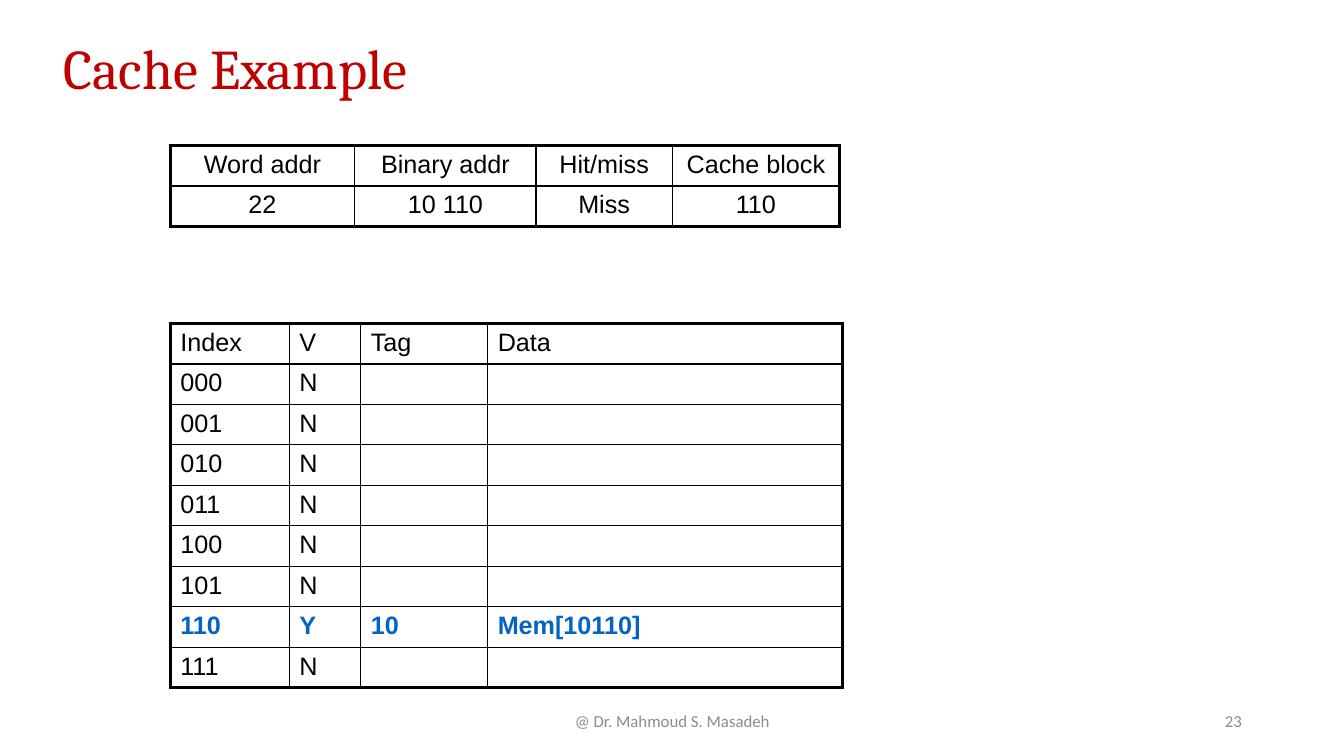
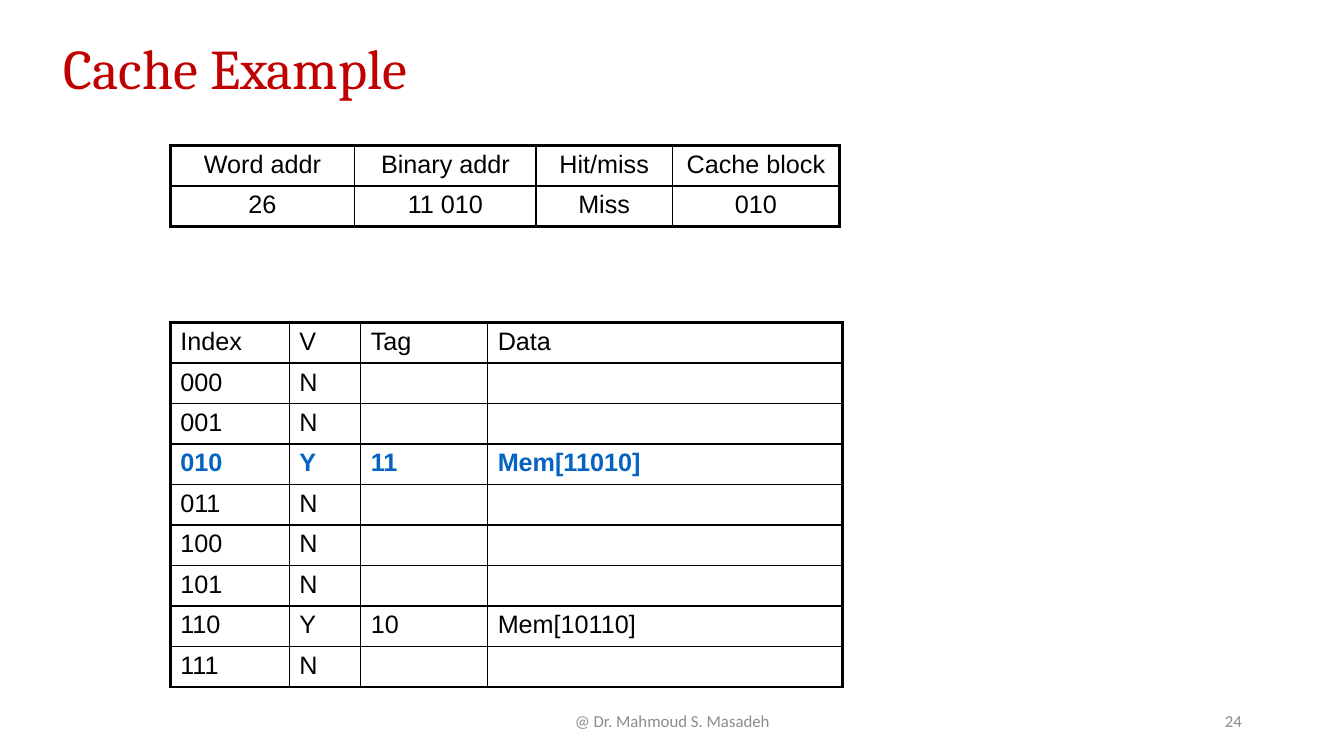
"""Build two slides that step through accesses to a direct-mapped cache."""
from lxml.etree import SubElement
from pptx import Presentation
from pptx.dml.color import RGBColor
from pptx.enum.text import MSO_ANCHOR, PP_ALIGN
from pptx.oxml.ns import qn
from pptx.util import Cm, Pt

COLORS = {"title": "C00000", "text": "000000", "new": "0563C1", "footer": "8C8C8C"}
THICK, HEADER, THIN = Pt(2.25), Pt(1.5), Pt(1)
ROW_H = 1.02
LEFT = 4.29
ADDR_COLS = [4.65, 4.57, 3.43, 4.22]
CACHE_COLS = [3, 1.8, 3.2, 8.94]
ADDR_HEAD = ["Word addr", "Binary addr", "Hit/miss", "Cache block"]
CACHE_HEAD = ["Index", "V", "Tag", "Data"]
ACCESSES = [(23, 22, 8.15), (24, 26, 8.13)]


def add_text(s, box, text, font, size, color, align=PP_ALIGN.LEFT):
    tf = s.shapes.add_textbox(*[Cm(v) for v in box]).text_frame
    tf.word_wrap = True
    tf.vertical_anchor = MSO_ANCHOR.MIDDLE
    p = tf.paragraphs[0]
    p.text = text
    p.alignment = align
    f = p.runs[0].font
    f.name, f.size = font, Pt(size)
    f.color.rgb = RGBColor.from_string(COLORS[color])
    return p


def add_grid(s, top, widths, rows, align, new_row=None):
    tbl = s.shapes.add_table(len(rows), len(widths), Cm(LEFT), Cm(top),
                             Cm(sum(widths)), Cm(ROW_H * len(rows))).table
    tbl.first_row = tbl.horz_banding = False
    for col, w in zip(tbl.columns, widths):
        col.width = Cm(w)
    last_i, last_j = len(rows) - 1, len(widths) - 1
    for i, row in enumerate(rows):
        tbl.rows[i].height = Cm(ROW_H)
        for j, text in enumerate(row):
            cell = tbl.cell(i, j)
            p = cell.text_frame.paragraphs[0]
            p.text = text
            p.alignment = align
            for r in p.runs:
                r.font.name, r.font.size = "Arial", Pt(18)
                r.font.bold = i == new_row
                color = COLORS["new" if i == new_row else "text"]
                r.font.color.rgb = RGBColor.from_string(color)
            if not text:
                end = SubElement(p._p, qn("a:endParaRPr"), sz="1800")
                SubElement(end, qn("a:latin"), typeface="Arial")
            borders = {
                "L": THICK if j == 0 else THIN,
                "R": THICK if j == last_j else THIN,
                "T": THICK if i == 0 else HEADER if i == 1 else THIN,
                "B": THICK if i == last_i else HEADER if i == 0 else THIN,
            }
            tcPr = cell._tc.get_or_add_tcPr()
            for side, width in borders.items():
                ln = SubElement(tcPr, qn(f"a:ln{side}"), w=str(int(width)))
                fill = SubElement(ln, qn("a:solidFill"))
                SubElement(fill, qn("a:srgbClr"), val=COLORS["text"])
            cell.fill.background()


prs = Presentation()
prs.slide_width, prs.slide_height = Cm(33.87), Cm(19.05)
cache = [[f"{n:03b}", "N", "", ""] for n in range(8)]

for number, addr, cache_top in ACCESSES:
    bits = f"{addr:05b}"
    tag, index = bits[:2], bits[2:]
    block = int(index, 2)
    cache[block] = [index, "Y", tag, f"Mem[{bits}]"]

    s = prs.slides.add_slide(prs.slide_layouts[6])
    p = add_text(s, (1.35, 1.02, 31.29, 1.57), "Cache Example", "Cambria", 40, "title")
    p.line_spacing = 0.9
    add_text(s, (23.93, 17.65, 7.62, 1.02), str(number), "Calibri", 12, "footer",
             PP_ALIGN.RIGHT)
    add_text(s, (11.23, 17.65, 11.43, 1.02), "@ Dr. Mahmoud S. Masadeh", "Calibri", 12,
             "footer", PP_ALIGN.CENTER)
    access = [str(addr), f"{tag} {index}", "Miss", index]
    add_grid(s, 3.66, ADDR_COLS, [ADDR_HEAD, access], PP_ALIGN.CENTER)
    add_grid(s, cache_top, CACHE_COLS, [CACHE_HEAD] + cache, PP_ALIGN.LEFT, block + 1)

prs.save("out.pptx")
